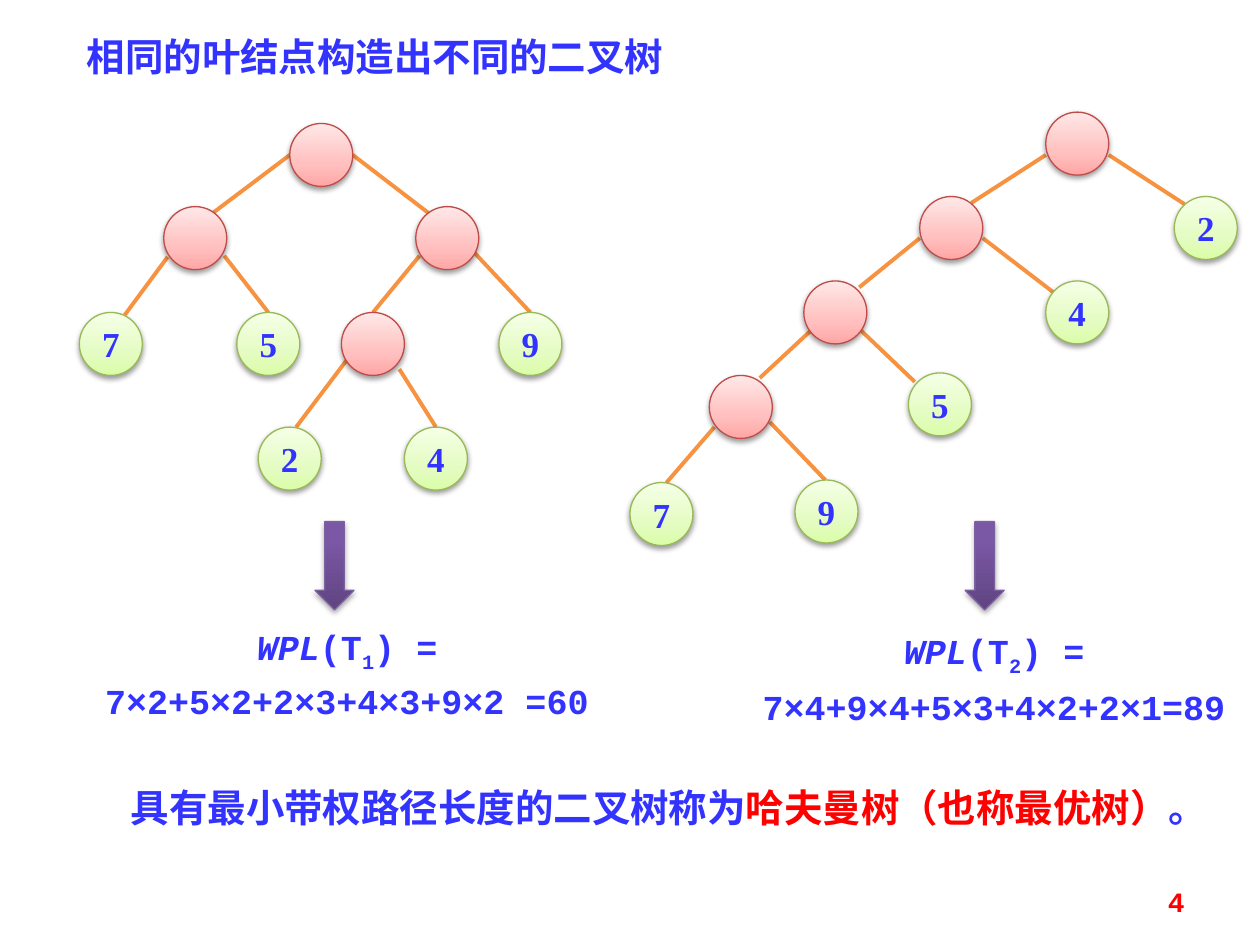
from lxml import etree
from pptx import Presentation
from pptx.dml.color import RGBColor
from pptx.enum.shapes import MSO_CONNECTOR, MSO_SHAPE
from pptx.enum.text import MSO_ANCHOR, PP_ALIGN
from pptx.oxml import parse_xml
from pptx.oxml.ns import nsdecls, qn
from pptx.util import Inches, Pt

LINE = MSO_CONNECTOR.STRAIGHT
OVAL, ARROW = MSO_SHAPE.OVAL, MSO_SHAPE.DOWN_ARROW
LEFT, MID, RIGHT = PP_ALIGN.LEFT, PP_ALIGN.CENTER, PP_ALIGN.RIGHT
TOP, CENTER = MSO_ANCHOR.TOP, MSO_ANCHOR.MIDDLE

COLS, ROWS, CELL = 100, 75, 0.1
NODE = 5

THEME = {
    "blue": "3333FF", "red": "FF0000", "edge": "F69240",
    "serif": "Times New Roman", "mono": "Courier New",
    "hans": "Noto Sans CJK SC",
    "head": 22, "body": 20, "page": 16,
    "thin": 0.75, "thick": 2.25,
    "inner": {"stops": [(0, "FFA6A5"), (35, "FFC0BF"), (100, "FFE7E7")],
              "line": "BF4C48", "shade": 38, "drop": 1.6},
    "leaf": {"stops": [(0, "DAFDA7"), (35, "E4FCC2"), (100, "F5FFE7")],
             "line": "98B955", "shade": 38, "drop": 1.6},
    "arrow": {"stops": [(0, "5F4480"), (80, "7B58A6"), (100, "7C57A8")],
              "line": "7D60A0", "shade": 35, "drop": 1.8},
}

TREES = [
    {
        "nodes": [(23, 9.8, ""), (13, 16.4, ""), (33, 16.4, ""),
                  (27.1, 24.8, ""), (6.3, 24.8, "7"), (18.8, 24.8, "5"),
                  (39.6, 24.8, "9"), (20.5, 33.9, "2"), (32.1, 33.9, "4")],
        "edges": [(23, 12.3, 16.9, 16.9), (28, 12.3, 34, 16.9),
                  (13.3, 20.4, 9.9, 25), (17.8, 20.3, 21.3, 24.8),
                  (33.3, 20.3, 29.6, 24.8), (37.6, 20, 42.1, 24.8),
                  (27.5, 28.6, 23.5, 33.9), (31.7, 29.3, 34.6, 33.9)],
        "arrow": 25,
    },
    {
        "nodes": [(83, 8.9, ""), (73, 15.6, ""), (63.8, 22.3, ""),
                  (56.3, 29.8, ""), (93.2, 15.6, "2"), (83, 22.3, "4"),
                  (72.1, 29.6, "5"), (50, 38.3, "7"), (63.1, 38.1, "9")],
        "edges": [(83, 12.3, 77.1, 16.1), (88, 12.3, 94, 16.2),
                  (73, 18.9, 68.2, 22.8), (78, 18.9, 83.6, 23.2),
                  (64.4, 26.2, 60.3, 30), (68.3, 26.2, 72.6, 30.3),
                  (56.7, 33.9, 52.9, 38.3), (61.1, 33.5, 65.5, 38.1)],
        "arrow": 76.6,
    },
]


def formula(sub, total):
    return [[("WPL", {"slant": True}), ("(T", {}), (sub, {"sub": True}),
             (") =", {})], [(total, {})]]


TEXTS = [
    {"at": (5.9, 2.1, 73.2, 4.7), "face": "serif", "size": "head",
     "paras": [[("相同的叶结点构造出不同的二叉树", {})]]},
    {"at": (5.9, 49.5, 43.3, 8.1), "face": "mono", "size": "body",
     "align": MID, "lead": 0.8, "gap": 11,
     "paras": formula("1", "7×2+5×2+2×3+4×3+9×2 =60")},
    {"at": (59.4, 48.7, 39, 9.1), "face": "mono", "size": "body",
     "align": MID, "lead": 1.2,
     "paras": formula("2", "7×4+9×4+5×3+4×2+2×1=89")},
    {"at": (9.4, 61.7, 89.1, 4.7), "face": "hans", "size": "head",
     "paras": [[("具有最小带权路径长度的二叉树称为", {}),
                ("哈夫曼树（也称最优树）", {"tint": "red"}), ("。", {})]]},
    {"at": (71.7, 69.5, 23.3, 4), "face": "mono", "size": "page",
     "align": RIGHT, "anchor": CENTER, "paras": [[("4", {"tint": "red"})]]},
]


def grid(*cells):
    return [Inches(c * CELL) for c in cells]


def style(run, face, size, tint="blue", slant=False, sub=False):
    font = run.font
    font.name, font.size, font.bold = THEME[face], Pt(THEME[size]), True
    font.italic = slant
    font.color.rgb = RGBColor.from_string(THEME[tint])
    if sub:
        font._element.set("baseline", "-25000")
    etree.SubElement(font._element, qn("a:ea")).set("typeface", THEME["hans"])


def solid(slide, kind, box, look):
    shape = slide.shapes.add_shape(kind, *grid(*box))
    look = THEME[look]
    stops = "".join(
        f'<a:gs pos="{pos * 1000}"><a:srgbClr val="{tint}"/></a:gs>'
        for pos, tint in look["stops"])
    props = shape._element.spPr
    props.find(qn("a:prstGeom")).addnext(parse_xml(
        f'<a:gradFill {nsdecls("a")} rotWithShape="1"><a:gsLst>{stops}'
        '</a:gsLst><a:lin ang="16200000" scaled="0"/></a:gradFill>'))
    shape.line.color.rgb = RGBColor.from_string(look["line"])
    shape.line.width = Pt(THEME["thin"])
    shape.shadow.inherit = False
    props.find(qn("a:effectLst")).append(parse_xml(
        f'<a:outerShdw {nsdecls("a")} blurRad="{Pt(3.1)}" '
        f'dist="{Pt(look["drop"])}" dir="5400000" rotWithShape="0">'
        f'<a:srgbClr val="000000"><a:alpha val="{look["shade"] * 1000}"/>'
        '</a:srgbClr></a:outerShdw>'))
    return shape


def branch(slide, ends):
    edge = slide.shapes.add_connector(LINE, *grid(*ends))
    edge.line.color.rgb = RGBColor.from_string(THEME["edge"])
    edge.line.width = Pt(THEME["thick"])
    etree.SubElement(edge._element.spPr, qn("a:effectLst"))


def node(slide, left, top, label):
    shape = solid(slide, OVAL, (left, top, NODE, NODE),
                  "leaf" if label else "inner")
    if label:
        frame = shape.text_frame
        frame.text = label
        frame.word_wrap = False
        frame.vertical_anchor = CENTER
        para = frame.paragraphs[0]
        para.alignment = MID
        style(para.runs[0], "serif", "body")


def write(slide, item):
    frame = slide.shapes.add_textbox(*grid(*item["at"])).text_frame
    frame.word_wrap = True
    frame.vertical_anchor = item.get("anchor", TOP)
    for num, runs in enumerate(item["paras"]):
        para = frame.add_paragraph() if num else frame.paragraphs[0]
        para.alignment = item.get("align", LEFT)
        para.line_spacing = item.get("lead", 1.0)
        if num:
            para.space_before = Pt(item.get("gap", 0))
        for text, looks in runs:
            run = para.add_run()
            run.text = text
            style(run, item["face"], item["size"], **looks)


def main():
    deck = Presentation()
    deck.slide_width, deck.slide_height = grid(COLS, ROWS)
    slide = deck.slides.add_slide(deck.slide_layouts[6])
    for tree in TREES:
        for ends in tree["edges"]:
            branch(slide, ends)
        for spot in tree["nodes"]:
            node(slide, *spot)
        solid(slide, ARROW, (tree["arrow"], 41.4, 3.1, 7), "arrow")
    for item in TEXTS:
        write(slide, item)
    deck.save("out.pptx")


if __name__ == "__main__":
    main()
